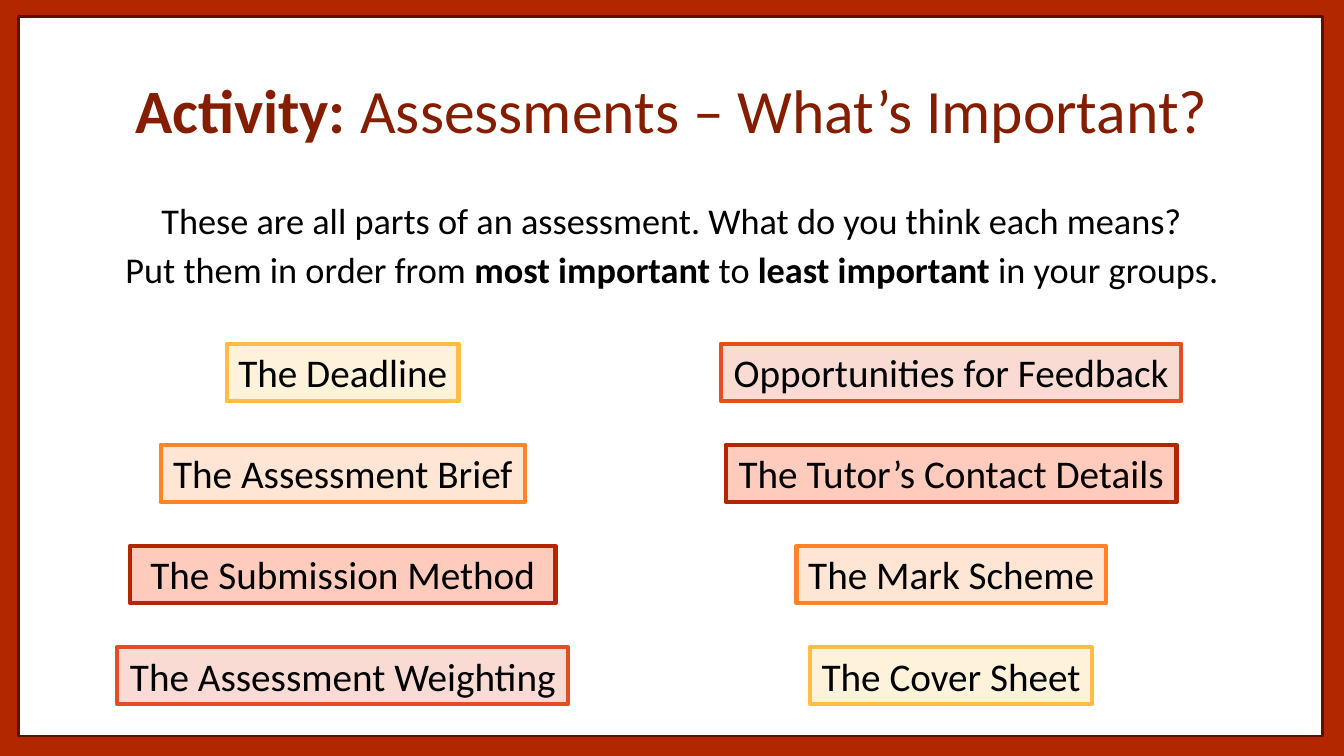
from typing import NamedTuple

from pptx import Presentation
from pptx.dml.color import RGBColor
from pptx.enum import shapes, text
from pptx.util import Pt

WHITE = RGBColor(0xFF, 0xFF, 0xFF)
BLACK = RGBColor(0, 0, 0)
RED = RGBColor(0xB2, 0x26, 0x00)
BROWN = RGBColor(0x59, 0x13, 0x00)
RUST = RGBColor(0x85, 0x1D, 0x00)
FONT = "Calibri"


class Tone(NamedTuple):
    fill: RGBColor
    line: RGBColor


class Card(NamedTuple):
    label: str
    width: float
    tone: Tone


class Part(NamedTuple):
    words: str
    bold: bool = False


GOLD = Tone(RGBColor(0xFF, 0xF2, 0xDA), RGBColor(0xFF, 0xBD, 0x47))
AMBER = Tone(RGBColor(0xFF, 0xE6, 0xD4), RGBColor(0xFF, 0x84, 0x27))
BRICK = Tone(RGBColor(0xFF, 0xCB, 0xBD), RED)
CORAL = Tone(RGBColor(0xFA, 0xDB, 0xD3), RGBColor(0xE8, 0x4C, 0x22))

COLUMNS = {
    244.8: [
        Card("The Deadline", 165.6, GOLD),
        Card("The Assessment Brief", 260, AMBER),
        Card("The Submission Method", 304, BRICK),
        Card("The Assessment Weighting", 322, CORAL),
    ],
    679.4: [
        Card("Opportunities for Feedback", 329, CORAL),
        Card("The Tutor’s Contact Details", 322, BRICK),
        Card("The Mark Scheme", 221, AMBER),
        Card("The Cover Sheet", 201.6, GOLD),
    ],
}
TOP, STEP, HEIGHT = 245.5, 72.2, 41

TITLE = [[Part("Activity: ", True), Part("Assessments – What’s Important?")]]
BODY = [
    [Part("These are all parts of an assessment. What do you think each means?")],
    [
        Part("Put them in order from "),
        Part("most important ", True),
        Part("to "),
        Part("least important ", True),
        Part("in your groups."),
    ],
]


def add_box(slide, left: float, top: float, width: float, height: float,
            tone: Tone, weight: float):
    box = slide.shapes.add_shape(shapes.MSO_SHAPE.RECTANGLE,
                                 Pt(left), Pt(top), Pt(width), Pt(height))
    box.shadow.inherit = False
    box.fill.solid()
    box.fill.fore_color.rgb = tone.fill
    box.line.color.rgb = tone.line
    box.line.width = Pt(weight)
    return box


def style(para, size: float, color: RGBColor) -> None:
    para.alignment = text.PP_ALIGN.CENTER
    para.font.name = FONT
    para.font.size = Pt(size)
    para.font.color.rgb = color


def add_card(slide, card: Card, center: float, top: float) -> None:
    box = add_box(slide, center - card.width / 2, top, card.width, HEIGHT, card.tone, 3)
    frame = box.text_frame
    frame.word_wrap = False
    frame.auto_size = text.MSO_AUTO_SIZE.SHAPE_TO_FIT_TEXT
    frame.vertical_anchor = text.MSO_ANCHOR.TOP
    frame.text = card.label
    style(frame.paragraphs[0], 28, BLACK)


def add_text(slide, top: float, height: float, lines: list[list[Part]], size: float,
             color: RGBColor, pitch: float, gap: float, anchor: text.MSO_ANCHOR) -> None:
    frame = slide.shapes.add_textbox(Pt(66), Pt(top), Pt(828), Pt(height)).text_frame
    frame.word_wrap = True
    frame.vertical_anchor = anchor
    for row, parts in enumerate(lines):
        para = frame.add_paragraph() if row else frame.paragraphs[0]
        style(para, size, color)
        para.line_spacing = pitch
        para.space_before = Pt(gap)
        for part in parts:
            run = para.add_run()
            run.text = part.words
            run.font.bold = part.bold


deck = Presentation()
deck.slide_width, deck.slide_height = Pt(960), Pt(540)
slide = deck.slides.add_slide(deck.slide_layouts[6])
slide.background.fill.solid()
slide.background.fill.fore_color.rgb = RED

add_box(slide, 13.5, 11.75, 931, 514, Tone(WHITE, BROWN), 2)
add_text(slide, 144, 70.5, BODY, 25.9, BLACK, 0.8, 10, text.MSO_ANCHOR.TOP)
add_text(slide, 28.75, 104.4, TITLE, 44, RUST, 0.9, 0, text.MSO_ANCHOR.MIDDLE)
for center, cards in COLUMNS.items():
    for row, card in enumerate(cards):
        add_card(slide, card, center, TOP + row * STEP)

deck.save("out.pptx")
